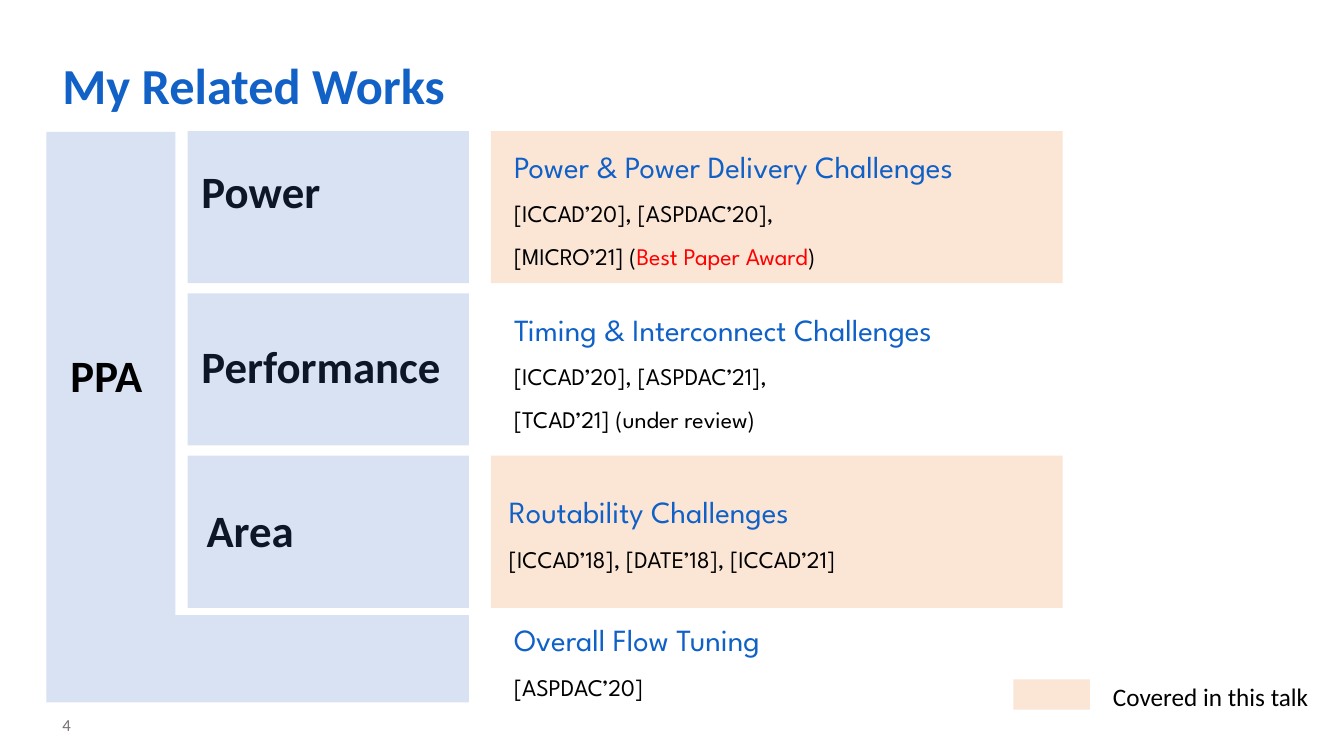
import pptx
import pptx.dml.color
import pptx.enum.shapes
import pptx.enum.text
import pptx.util
from lxml import etree
from pptx.util import Inches

RGBColor = pptx.dml.color.RGBColor
BLUE = RGBColor(0x44, 0x72, 0xC4)
ORANGE = RGBColor(0xED, 0x7D, 0x31)
WHITE = RGBColor(0xFF, 0xFF, 0xFF)
BLACK = RGBColor(0x00, 0x00, 0x00)
RED = RGBColor(0xFF, 0x00, 0x00)
GREY = RGBColor(0x76, 0x71, 0x71)
TITLE_BLUE = RGBColor(0x11, 0x61, 0xC6)
HEADING_BLUE = RGBColor(0x10, 0x61, 0xC7)

ROW_TOP = 1.3
ROW_PITCH = 1.61
ROW_HEIGHT = 1.51


class SlideBuilder:
    label_font = "Calibri"
    topic_font = "League Spartan"

    def __init__(self, slide):
        self.slide = slide

    def rectangle(self, left, top, width, height, color, opacity=100):
        shape = self.slide.shapes.add_shape(
            pptx.enum.shapes.MSO_SHAPE.RECTANGLE,
            Inches(left), Inches(top), Inches(width), Inches(height))
        shape.shadow.inherit = False
        shape.line.fill.background()
        shape.fill.solid()
        shape.fill.fore_color.rgb = color
        if opacity < 100:
            color_element = shape.fill._xPr.find(".//" + pptx.oxml.ns.qn("a:srgbClr"))
            alpha = etree.SubElement(color_element, pptx.oxml.ns.qn("a:alpha"))
            alpha.set("val", str(opacity * 1000))

    def text_frame(self, left, top, width, height, wrap=True):
        box = self.slide.shapes.add_textbox(
            Inches(left), Inches(top), Inches(width), Inches(height))
        box.text_frame.word_wrap = wrap
        return box.text_frame

    def run(self, paragraph, text, font, size, color, bold=False):
        run = paragraph.add_run()
        run.text = text
        run.font.name = font
        run.font.size = pptx.util.Pt(size)
        run.font.color.rgb = color
        run.font.bold = bold

    def label(self, text, left, top, width, height, size, color=BLACK, bold=False):
        frame = self.text_frame(left, top, width, height, wrap=False)
        self.run(frame.paragraphs[0], text, self.label_font, size, color, bold)

    def title(self, text):
        frame = self.text_frame(0.52, 0.52, 12.28, 0.72)
        frame.vertical_anchor = pptx.enum.text.MSO_ANCHOR.MIDDLE
        paragraph = frame.paragraphs[0]
        paragraph.line_spacing = 0.85
        self.run(paragraph, text, self.label_font, 36, TITLE_BLUE, bold=True)

    def topic(self, left, top, heading, *citation_lines):
        height = 0.64 + 0.41 * len(citation_lines)
        frame = self.text_frame(left, top, 5.6, height)
        paragraph = frame.paragraphs[0]
        paragraph.line_spacing = 1.5
        self.run(paragraph, heading, self.topic_font, 22, HEADING_BLUE)
        for line in citation_lines:
            paragraph = frame.add_paragraph()
            paragraph.line_spacing = 1.5
            for text, color in line:
                self.run(paragraph, text, self.topic_font, 17, color)


def main():
    presentation = pptx.Presentation()
    presentation.slide_width = Inches(13.33)
    presentation.slide_height = Inches(7.5)
    builder = SlideBuilder(presentation.slides.add_slide(presentation.slide_layouts[6]))

    builder.rectangle(0.46, 1.31, 4.19, 5.66, BLUE, 20)
    builder.rectangle(1.74, 1.3, 2.91, 4.8, WHITE)
    for row in (0, 2):
        builder.rectangle(4.87, ROW_TOP + row * ROW_PITCH, 5.67, ROW_HEIGHT, ORANGE, 20)

    builder.title("My Related Works")
    builder.label("4", 0.52, 7.04, 3, 0.25, 12, GREY)

    for text, left, top, width in (
        ("PPA", 0.6, 3.4, 0.92),
        ("Power", 1.9, 1.58, 1.39),
        ("Performance", 1.9, 3.31, 2.59),
        ("Area", 1.95, 4.94, 1.08),
    ):
        builder.label(text, left, top, width, 0.64, 32, bold=True)
    for row in range(3):
        builder.rectangle(1.86, ROW_TOP + row * ROW_PITCH, 2.79, ROW_HEIGHT, BLUE, 20)

    builder.topic(
        5, 1.23, "Power & Power Delivery Challenges",
        [("[ICCAD’20], [ASPDAC’20],", BLACK)],
        [("[MICRO’21] (", BLACK), ("Best Paper Award", RED), (")", BLACK)])
    builder.topic(
        5, 2.85, "Timing & Interconnect Challenges",
        [("[ICCAD’20], [ASPDAC’21],", BLACK)],
        [("[TCAD’21] (under review)", BLACK)])
    builder.topic(
        4.95, 4.66, "Routability Challenges",
        [("[ICCAD’18], [DATE’18], [ICCAD’21]", BLACK)])
    builder.topic(
        5, 5.93, "Overall Flow Tuning",
        [("[ASPDAC’20]", BLACK)])

    builder.label("Covered in this talk", 10.94, 6.71, 2.16, 0.4, 18)
    builder.rectangle(10.05, 6.74, 0.76, 0.3, ORANGE, 20)

    presentation.save("out.pptx")


if __name__ == "__main__":
    main()
